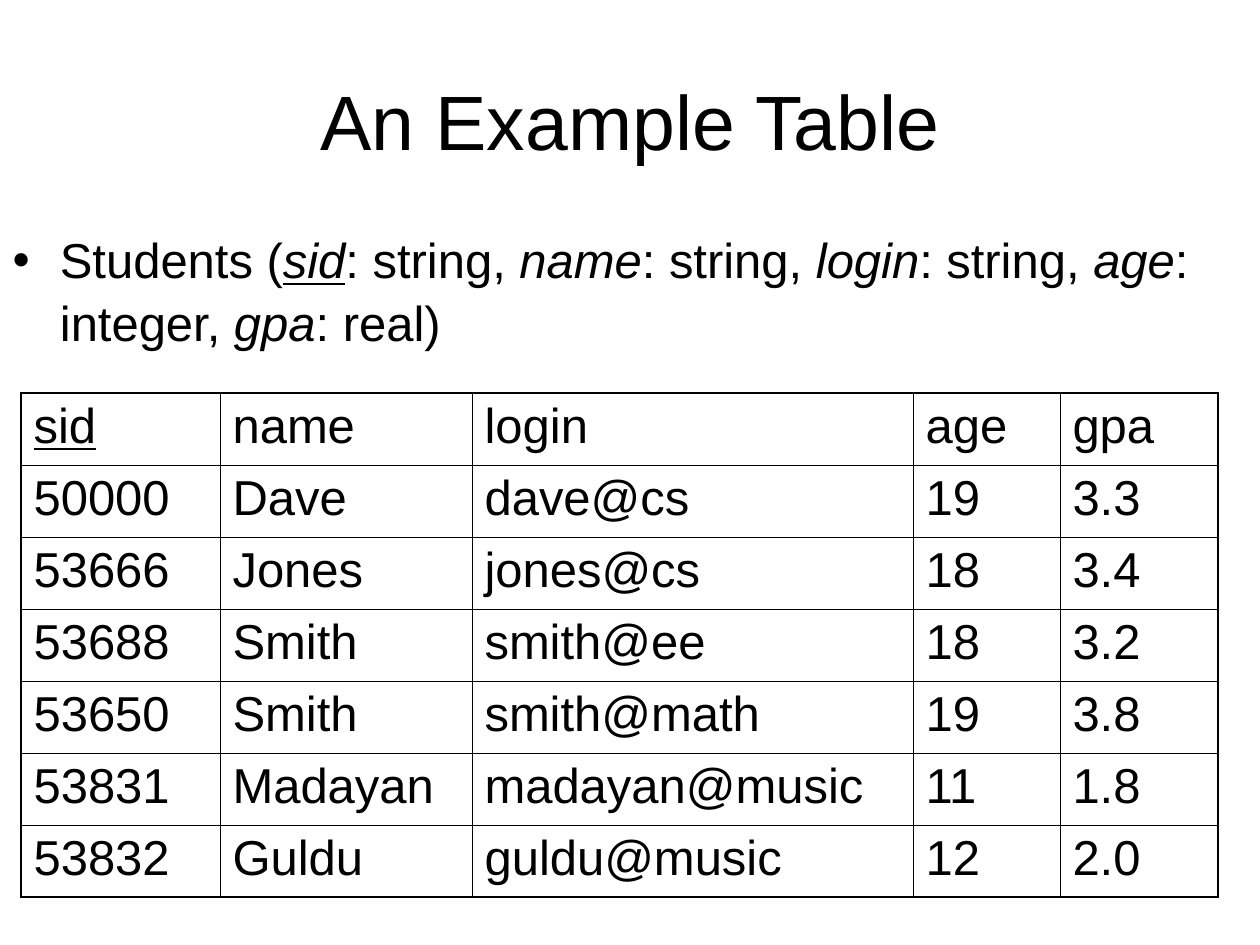
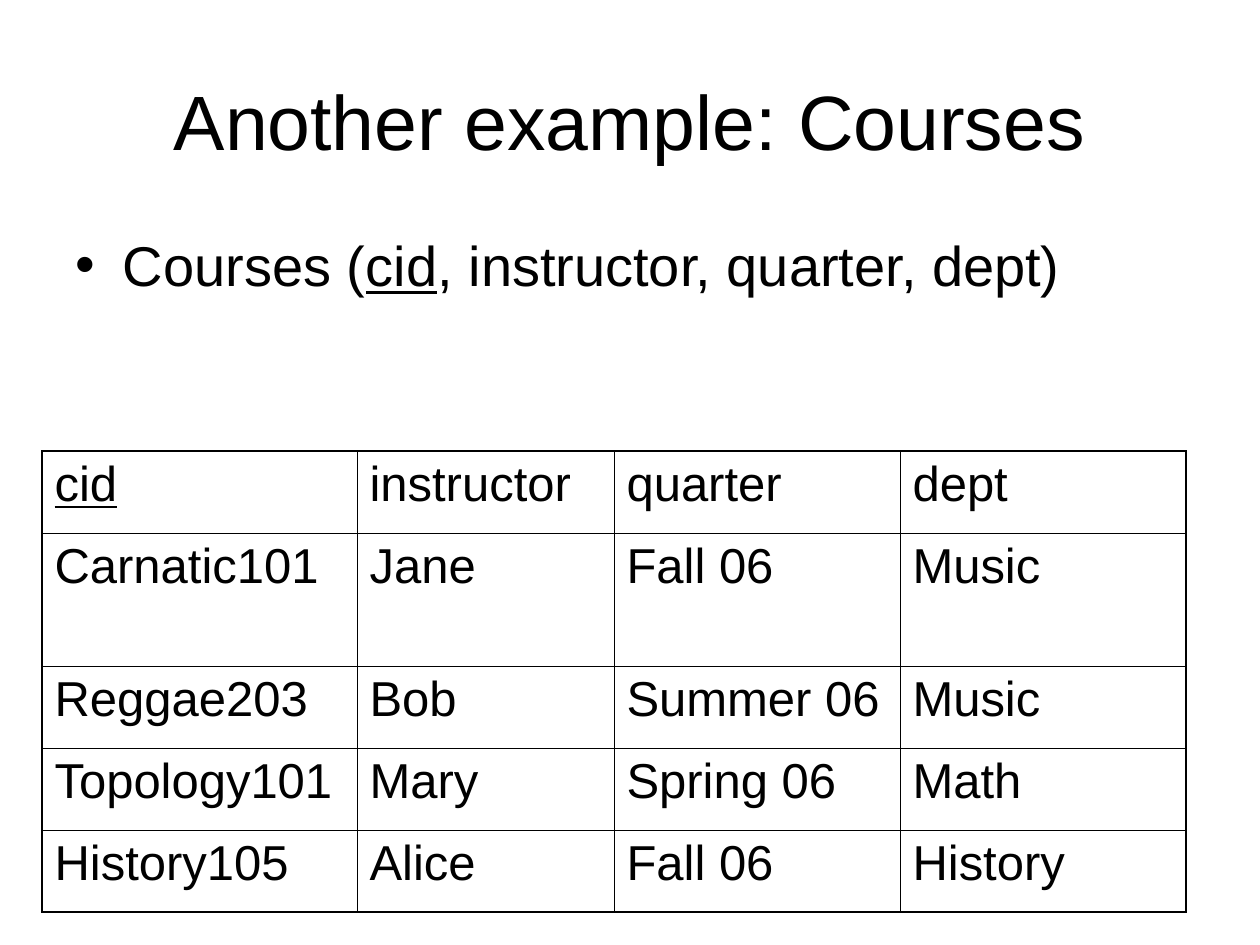
from dataclasses import dataclass

from lxml import etree
from pptx import Presentation
from pptx.dml.color import RGBColor
from pptx.enum.text import MSO_ANCHOR, MSO_AUTO_SIZE, PP_ALIGN
from pptx.oxml.ns import qn
from pptx.util import Pt

CENTER = PP_ALIGN.CENTER
MIDDLE = MSO_ANCHOR.MIDDLE
NO_AUTOFIT = MSO_AUTO_SIZE.NONE
SCALE = 914400 / 126


@dataclass(frozen=True)
class Theme:
    font: str = "Arial"
    ink: str = "000000"
    title_size: int = 44
    table_size: int = 28
    space_before: int = 7
    line_spacing: float = 1.06
    outer_border: float = 1.08
    inner_border: float = 0.45


theme = Theme()
TITLE_BOX = (63, 38, 1134, 157)


def place(shape, box):
    shape.left, shape.top, shape.width, shape.height = [round(value * SCALE) for value in box]


def add_run(paragraph, text, size, style=""):
    run = paragraph.add_run()
    run.text = text
    run.font.name = theme.font
    run.font.size = Pt(size)
    run.font.color.rgb = RGBColor.from_string(theme.ink)
    run.font.italic = "i" in style
    run.font.underline = "u" in style


slides = [
    {
        "title": "An Example Table",
        "body_box": (0, 220, 1260, 147),
        "body_size": 28,
        "schema": [
            ("Students (", ""), ("sid", "iu"), (": string, ", ""), ("name", "i"),
            (": string, ", ""), ("login", "i"), (": string, ", ""), ("age", "i"),
            (": integer, ", ""), ("gpa", "i"), (": real)", ""),
        ],
        "table_corner": (21, 393),
        "columns": [199, 252, 441, 147, 158],
        "row_heights": [72] * 7,
        "records": [
            ("sid", "name", "login", "age", "gpa"),
            ("50000", "Dave", "dave@cs", "19", "3.3"),
            ("53666", "Jones", "jones@cs", "18", "3.4"),
            ("53688", "Smith", "smith@ee", "18", "3.2"),
            ("53650", "Smith", "smith@math", "19", "3.8"),
            ("53831", "Madayan", "madayan@music", "11", "1.8"),
            ("53832", "Guldu", "guldu@music", "12", "2.0"),
        ],
    },
    {
        "title": "Another example: Courses",
        "body_box": (63, 220, 1155, 116),
        "body_size": 32,
        "schema": [("Courses (", ""), ("cid", "u"), (", instructor, quarter, dept)", "")],
        "table_corner": (42, 451),
        "columns": [315, 257, 286, 286],
        "row_heights": [82, 133, 82, 82, 82],
        "records": [
            ("cid", "instructor", "quarter", "dept"),
            ("Carnatic101", "Jane", "Fall 06", "Music"),
            ("Reggae203", "Bob", "Summer 06", "Music"),
            ("Topology101", "Mary", "Spring 06", "Math"),
            ("History105", "Alice", "Fall 06", "History"),
        ],
    },
]

presentation = Presentation()
presentation.slide_width = round(1260 * SCALE)
presentation.slide_height = round(945 * SCALE)
layout = presentation.slide_layouts.get_by_name("Title and Content")

for content in slides:
    slide = presentation.slides.add_slide(layout)

    title = slide.shapes.title
    place(title, TITLE_BOX)
    title.text_frame.auto_size = NO_AUTOFIT
    title.text_frame.vertical_anchor = MIDDLE
    paragraph = title.text_frame.paragraphs[0]
    paragraph.alignment = CENTER
    paragraph.line_spacing = theme.line_spacing
    add_run(paragraph, content["title"], theme.title_size)

    body = slide.placeholders[1]
    place(body, content["body_box"])
    body.text_frame.auto_size = NO_AUTOFIT
    paragraph = body.text_frame.paragraphs[0]
    paragraph.space_before = Pt(content["body_size"] // 4)
    paragraph.line_spacing = theme.line_spacing
    for text, style in content["schema"]:
        add_run(paragraph, text, content["body_size"], style)

    records, columns, heights = content["records"], content["columns"], content["row_heights"]
    box = (*content["table_corner"], sum(columns), sum(heights))
    frame = slide.shapes.add_table(
        len(records), len(columns), *[round(value * SCALE) for value in box]
    )
    table = frame.table
    table.first_row = False
    table.horz_banding = False
    for column, width in zip(table.columns, columns):
        column.width = round(width * SCALE)
    for row, height in zip(table.rows, heights):
        row.height = round(height * SCALE)

    for row_index, record in enumerate(records):
        for column_index, text in enumerate(record):
            cell = table.cell(row_index, column_index)
            paragraph = cell.text_frame.paragraphs[0]
            paragraph.space_before = Pt(theme.space_before)
            is_key = row_index == 0 and column_index == 0
            add_run(paragraph, text, theme.table_size, "u" if is_key else "")

            properties = cell._tc.get_or_add_tcPr()
            outer_edges = {
                "a:lnL": column_index == 0,
                "a:lnR": column_index == len(columns) - 1,
                "a:lnT": row_index == 0,
                "a:lnB": row_index == len(records) - 1,
            }
            for edge, is_outer in outer_edges.items():
                width = theme.outer_border if is_outer else theme.inner_border
                line = etree.SubElement(properties, qn(edge), w=str(Pt(width)))
                fill = etree.SubElement(line, qn("a:solidFill"))
                etree.SubElement(fill, qn("a:srgbClr"), val=theme.ink)
            cell.fill.background()

presentation.save("out.pptx")
